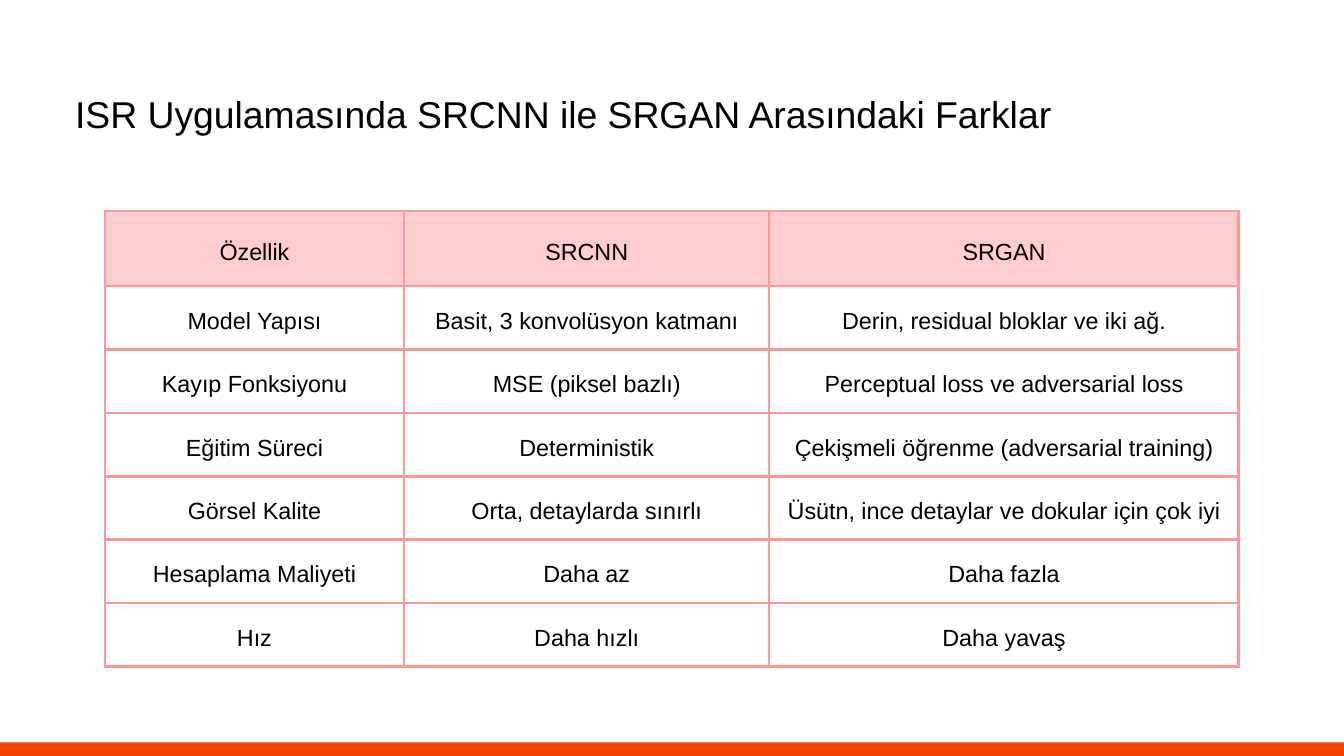
from dataclasses import dataclass

from lxml import etree
from pptx import Presentation
from pptx.dml.color import RGBColor
from pptx.enum.shapes import MSO_SHAPE
from pptx.enum.text import MSO_ANCHOR, PP_ALIGN
from pptx.oxml.ns import qn
from pptx.util import Cm, Pt

RECTANGLE = MSO_SHAPE.RECTANGLE
MIDDLE, TOP = MSO_ANCHOR.MIDDLE, MSO_ANCHOR.TOP
CENTER, LEFT = PP_ALIGN.CENTER, PP_ALIGN.LEFT
TITLE_ONLY = 5


@dataclass(frozen=True)
class Theme:
    font: str = "Arial"
    text: str = "000000"
    accent: str = "F24300"
    header: str = "FFCDCD"
    border: str = "FF9999"
    border_width: int = 3
    title_size: int = 40
    title_leading: int = 48
    cell_size: int = 25
    cell_leading: int = 35


THEME = Theme()
SLIDE_WIDTH, SLIDE_HEIGHT = 50.8, 28.58

TITLE = "ISR Uygulamasında SRCNN ile SRGAN Arasındaki Farklar"
COMPARISON = [
    ("Özellik", "SRCNN", "SRGAN"),
    ("Model Yapısı", "Basit, 3 konvolüsyon katmanı", "Derin, residual bloklar ve iki ağ."),
    ("Kayıp Fonksiyonu", "MSE (piksel bazlı)", "Perceptual loss ve adversarial loss"),
    ("Eğitim Süreci", "Deterministik", "Çekişmeli öğrenme (adversarial training)"),
    ("Görsel Kalite", "Orta, detaylarda sınırlı", "Üsütn, ince detaylar ve dokular için çok iyi"),
    ("Hesaplama Maliyeti", "Daha az", "Daha fazla"),
    ("Hız", "Daha hızlı", "Daha yavaş"),
]
COLUMN_SHARES = (0.264, 0.322, 0.414)
HEADER_HEIGHT = 2.84
CELL_MARGIN = Cm(0.53)


def format_paragraph(para, size, leading, align):
    para.alignment = align
    para.line_spacing = Pt(leading)
    para.font.name = THEME.font
    para.font.size = Pt(size)
    para.font.color.rgb = RGBColor.from_string(THEME.text)


def set_borders(cell):
    """Outline all four sides; lines must precede the fill in the cell properties."""
    properties = cell._tc.get_or_add_tcPr()
    for position, side in enumerate(("a:lnL", "a:lnR", "a:lnT", "a:lnB")):
        line = etree.Element(qn(side), w=str(Pt(THEME.border_width)))
        fill = etree.SubElement(line, qn("a:solidFill"))
        etree.SubElement(fill, qn("a:srgbClr"), val=THEME.border)
        properties.insert(position, line)


def add_footer_bar(page, left, top, width, height):
    bar = page.shapes.add_shape(RECTANGLE, Cm(left), Cm(top), Cm(width), Cm(height))
    bar.shadow.inherit = False
    bar.fill.solid()
    bar.fill.fore_color.rgb = RGBColor.from_string(THEME.accent)
    bar.line.fill.background()


def add_title(page, left, top, width, height):
    title = page.shapes.title
    title.left, title.top, title.width, title.height = map(Cm, (left, top, width, height))
    frame = title.text_frame
    frame.margin_left = frame.margin_right = frame.margin_top = frame.margin_bottom = 0
    frame.vertical_anchor = TOP
    frame.word_wrap = True
    frame.text = TITLE
    para = frame.paragraphs[0]
    para.space_before = Pt(0)
    format_paragraph(para, THEME.title_size, THEME.title_leading, LEFT)


def fill_cell(cell, text, is_header):
    cell.margin_left = cell.margin_right = CELL_MARGIN
    cell.margin_top = cell.margin_bottom = CELL_MARGIN
    cell.vertical_anchor = MIDDLE
    cell.text = text
    format_paragraph(cell.text_frame.paragraphs[0], THEME.cell_size, THEME.cell_leading, CENTER)
    if is_header:
        cell.fill.solid()
        cell.fill.fore_color.rgb = RGBColor.from_string(THEME.header)
    else:
        cell.fill.background()
    set_borders(cell)


def add_comparison_table(page, left, top, width, height):
    table = page.shapes.add_table(
        len(COMPARISON), len(COLUMN_SHARES), Cm(left), Cm(top), Cm(width), Cm(height)
    ).table
    table.horz_banding = False
    for column, share in zip(table.columns, COLUMN_SHARES):
        column.width = Cm(width * share)
    body_height = (height - HEADER_HEIGHT) / (len(COMPARISON) - 1)
    for row_index, texts in enumerate(COMPARISON):
        is_header = row_index == 0
        table.rows[row_index].height = Cm(HEADER_HEIGHT if is_header else body_height)
        for column_index, text in enumerate(texts):
            fill_cell(table.cell(row_index, column_index), text, is_header)
    # The header is regular weight, so the style's bold first row is off
    table.first_row = False


def main():
    deck = Presentation()
    deck.slide_width, deck.slide_height = Cm(SLIDE_WIDTH), Cm(SLIDE_HEIGHT)
    page = deck.slides.add_slide(deck.slide_layouts[TITLE_ONLY])

    add_footer_bar(page, 0, SLIDE_HEIGHT - 0.51, SLIDE_WIDTH, 0.51)
    add_comparison_table(page, 3.96, 7.98, 42.86, 17.22)
    add_title(page, 2.84, 3.45, 38.4, 1.68)

    deck.save("out.pptx")


if __name__ == "__main__":
    main()
